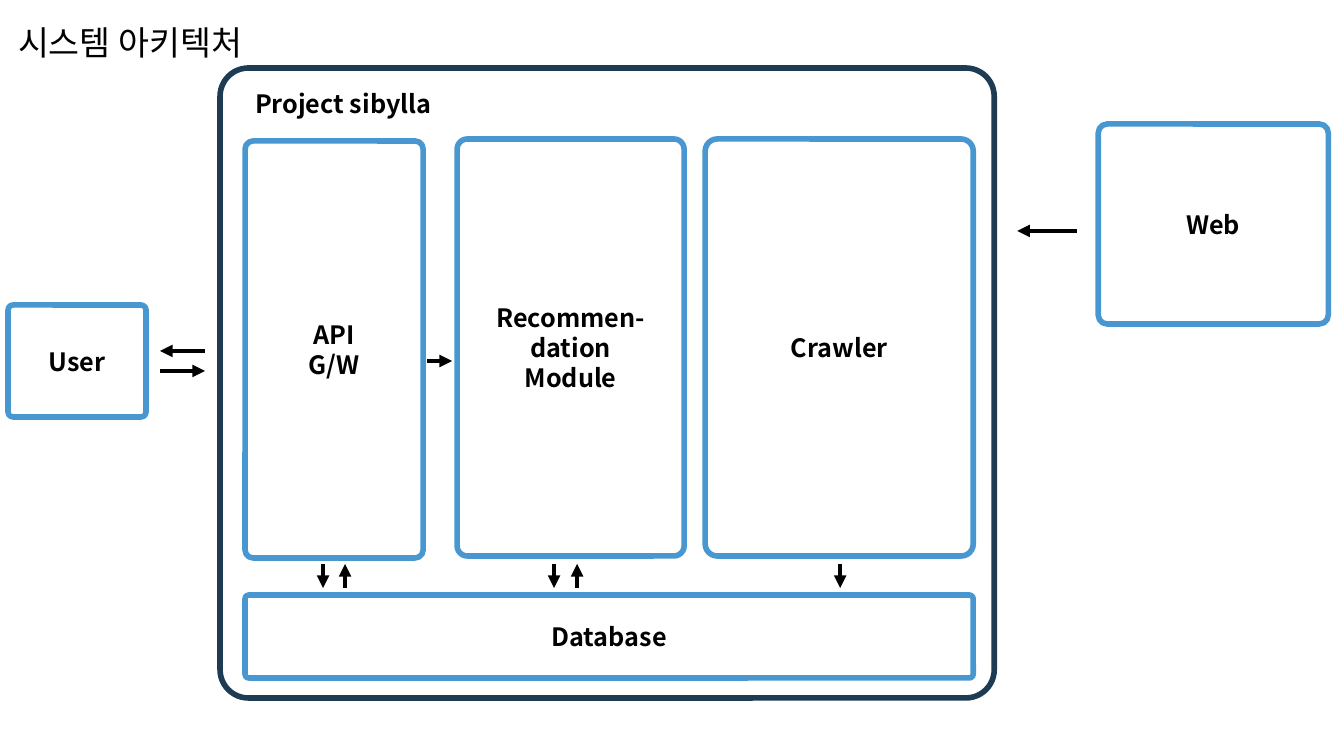
from lxml import etree
from pptx import Presentation
from pptx import util as u
from pptx.dml.color import RGBColor
from pptx.enum import shapes, text
from pptx.oxml import ns

PX = 914400 / 100.8
FONT = "Noto Sans CJK KR"
NAVY, BLUE, BLACK, WHITE = "1D3B52", "4997D0", "000000", "FFFFFF"


def emu(*pixels):
    return [u.Emu(round(p * PX)) for p in pixels]


def color(hex_code):
    return RGBColor.from_string(hex_code)


def write(frame, content, size=18, bold=True, align=text.PP_ALIGN.CENTER,
          anchor=text.MSO_ANCHOR.MIDDLE):
    """Write one paragraph per line of content."""
    frame.word_wrap = True
    frame.auto_size = text.MSO_AUTO_SIZE.NONE
    frame.vertical_anchor = anchor
    frame.text = content
    for paragraph in frame.paragraphs:
        paragraph.alignment = align
        for run in paragraph.runs:
            run.font.size, run.font.bold = u.Pt(size), bold
            run.font.name = FONT
            run.font.color.rgb = color(BLACK)
            east_asian = etree.SubElement(run.font._element, ns.qn("a:ea"))
            east_asian.set("typeface", FONT)


def add_box(slide, bounds, label="", outline=BLUE):
    box = slide.shapes.add_shape(shapes.MSO_SHAPE.ROUNDED_RECTANGLE, *emu(*bounds))
    box.adjustments[0] = 0.045
    box.shadow.inherit = False
    box.fill.solid()
    box.fill.fore_color.rgb = color(WHITE)
    box.line.color.rgb = color(outline)
    box.line.width = u.Pt(4)
    if label:
        write(box.text_frame, label)


def add_arrow(slide, *ends):
    arrow = slide.shapes.add_connector(shapes.MSO_CONNECTOR.STRAIGHT, *emu(*ends))
    arrow.line.color.rgb = color(BLACK)
    arrow.line.width = u.Pt(3)
    head = etree.SubElement(arrow.line._get_or_add_ln(), ns.qn("a:tailEnd"))
    head.set("type", "triangle")
    etree.SubElement(arrow._element.spPr, ns.qn("a:effectLst"))


def main():
    deck = Presentation()
    deck.slide_width, deck.slide_height = u.Inches(13.33), u.Inches(7.5)
    slide = deck.slides.add_slide(deck.slide_layouts[5])

    # Title
    title = slide.shapes.title
    title.left, title.top, title.width, title.height = emu(8, 17, 248, 50)
    write(title.text_frame, "시스템 아키텍처", size=24, bold=False,
          align=text.PP_ALIGN.LEFT, anchor=text.MSO_ANCHOR.TOP)

    # Project frame
    add_box(slide, (220, 68, 774, 630), outline=NAVY)
    project = slide.shapes.add_textbox(*emu(245, 83, 406, 40))
    write(project.text_frame, "Project sibylla", align=text.PP_ALIGN.LEFT,
          anchor=text.MSO_ANCHOR.TOP)

    # Components
    for label, bounds in (
        ("Database", (245, 595, 728, 83)),
        ("Crawler", (705, 139, 268, 417)),
        ("Web", (1098, 124, 230, 200)),
        ("API\nG/W", (245, 141, 178, 417)),
        ("Recommen-dation\nModule", (457, 139, 227, 417)),
        ("User", (8, 305, 138, 112)),
    ):
        add_box(slide, bounds, label)

    # Arrows between the components
    add_arrow(slide, 1077, 231, 1017, 231)
    add_arrow(slide, 427, 361, 452, 361)
    add_arrow(slide, 205, 351, 160, 351)
    add_arrow(slide, 160, 371, 205, 371)

    # Arrows to and from the database
    top, bottom = 564, 588
    for x in (323, 554, 840):
        add_arrow(slide, x, top, x, bottom)
    for x in (345, 577):
        add_arrow(slide, x, bottom, x, top)

    deck.save("out.pptx")


main()
